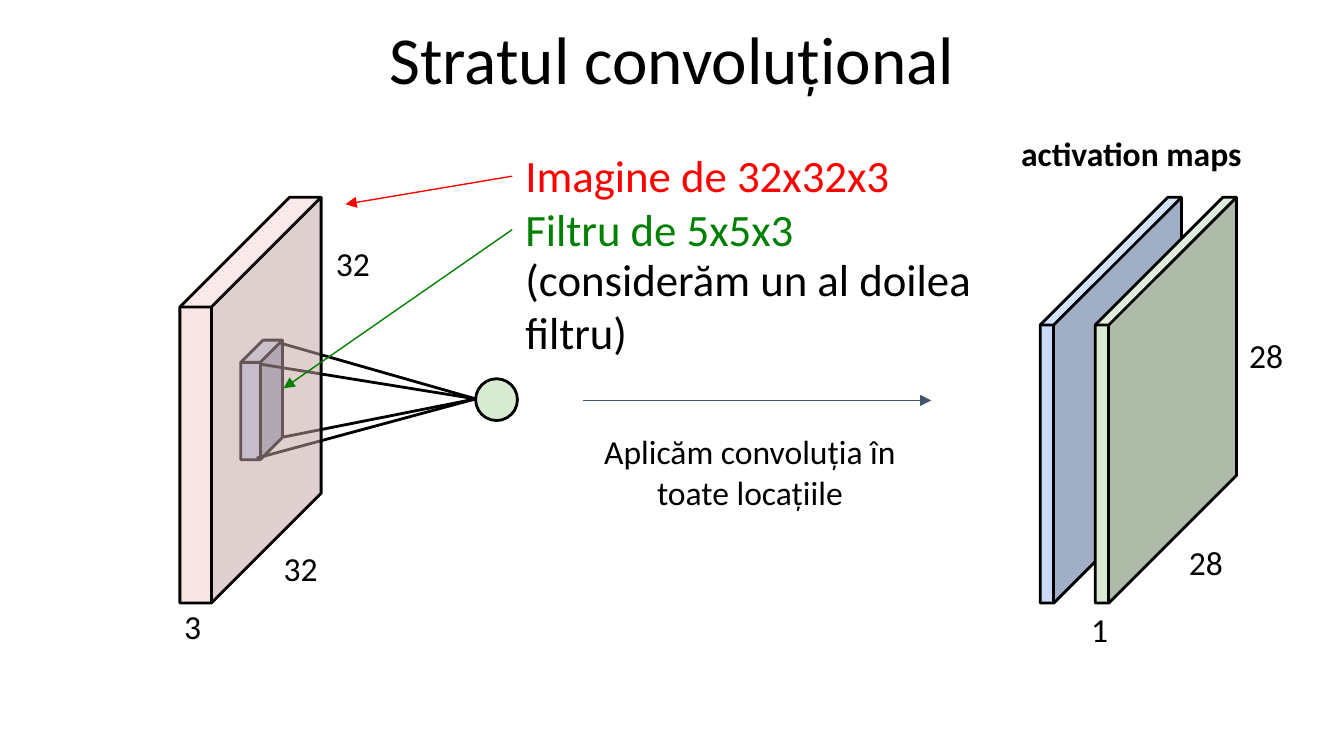
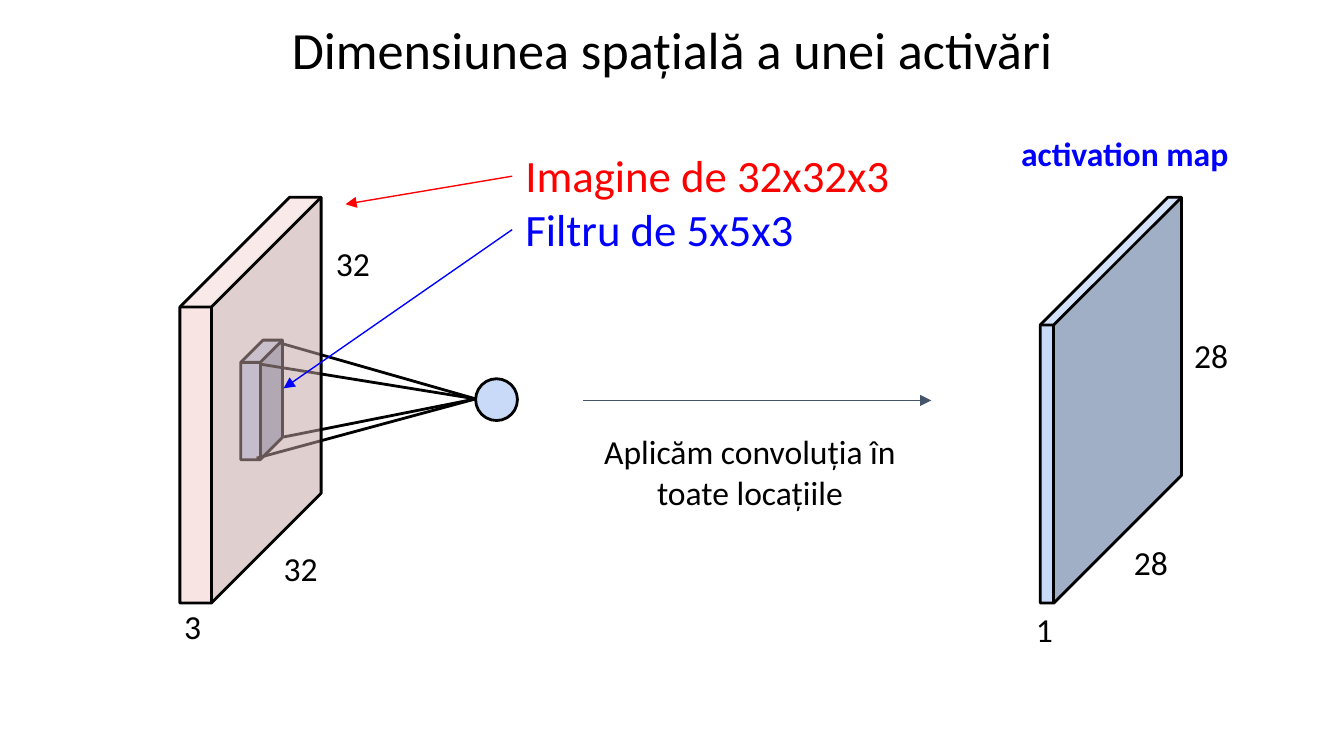
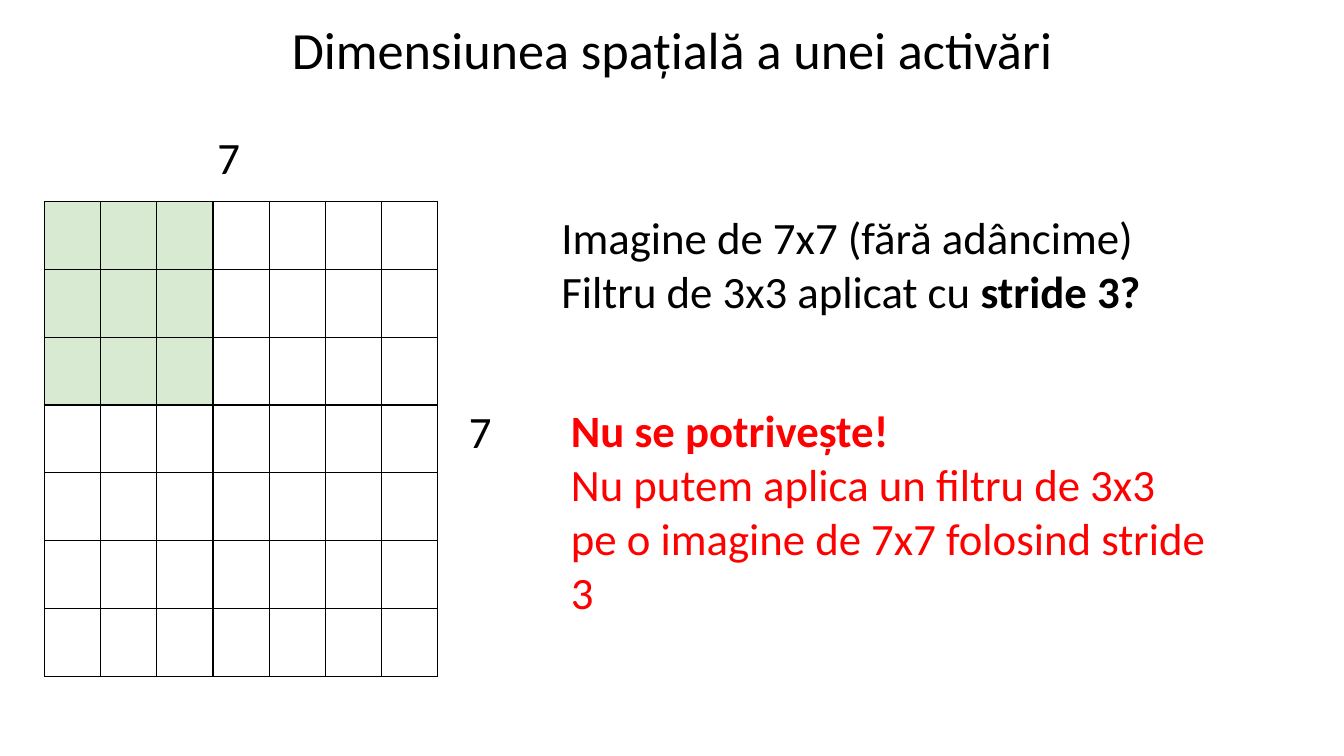
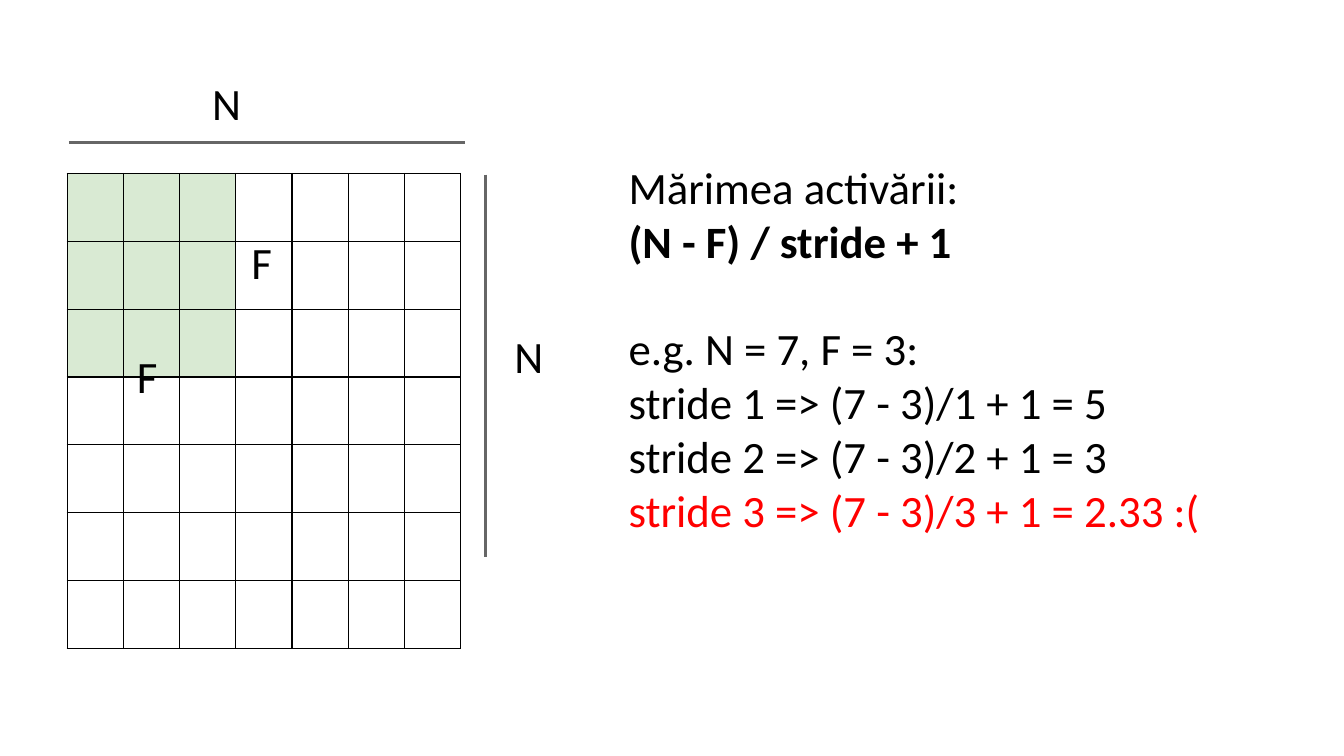
from dataclasses import dataclass

from lxml import etree
from pptx import Presentation
from pptx import util as u
from pptx.dml.color import RGBColor
from pptx.enum import shapes, text
from pptx.oxml import ns


@dataclass(frozen=True)
class Theme:
    font: str = "Calibri"
    black: str = "000000"
    red: str = "FF0000"
    green: str = "008000"
    blue: str = "0000FF"
    slate: str = "44546A"
    gray: str = "666666"
    white: str = "FFFFFF"
    rose: str = "F4CCCC"
    sky: str = "C9DAF8"
    mint: str = "D9EAD3"
    small: int = 18
    body: int = 24
    head: int = 28
    large: int = 36
    thin: float = 0.75
    thick: float = 1.5
    inset: float = 0.25


T = Theme()
CENTER = text.PP_ALIGN.CENTER


def write(shape, lines, size, align=None, gaps=()):
    """Fill a shape with lines, each a list of (words, ink, bold) runs.

    gaps holds the numbers of the lines that have one line of space before.
    """
    frame = shape.text_frame
    edge = u.Cm(T.inset)
    look = {"word_wrap": True, "auto_size": text.MSO_AUTO_SIZE.NONE,
            "vertical_anchor": text.MSO_ANCHOR.TOP,
            "margin_left": edge, "margin_right": edge,
            "margin_top": edge, "margin_bottom": edge}
    for key, value in look.items():
        setattr(frame, key, value)
    for n, line in enumerate(lines):
        para = frame.add_paragraph() if n else frame.paragraphs[0]
        para.alignment = align
        if n in gaps:
            para.space_before = u.Pt(1.2 * size)
        for words, ink, bold in line:
            run = para.add_run()
            run.text = words
            face = {"name": T.font, "size": u.Pt(size), "bold": bold}
            for key, value in face.items():
                setattr(run.font, key, value)
            run.font.color.rgb = RGBColor.from_string(ink)


def link(slide, start, end, ink, width, arrow=False):
    line = slide.shapes.add_connector(
        shapes.MSO_CONNECTOR.STRAIGHT, *map(u.Cm, start + end))
    line.line.color.rgb = RGBColor.from_string(ink)
    line.line.width = u.Pt(width)
    if arrow:
        etree.SubElement(line.line._get_or_add_ln(), ns.qn("a:tailEnd"), type="triangle")
    etree.SubElement(line._element.spPr, ns.qn("a:effectLst"))


deck = Presentation()
deck.slide_width, deck.slide_height = u.Cm(25.4), u.Cm(14.29)

# Slides and titles
space = "Dimensiunea spațială a unei activări"
heads = [("Stratul convoluțional", T.large), (space, T.head), (space, T.head), (None, 0)]
slides = []
for words, size in heads:
    slide = deck.slides.add_slide(deck.slide_layouts[5 if words else 6])
    slides.append(slide)
    if words:
        title = slide.shapes.title
        title.left, title.top, title.width, title.height = map(u.Cm, (0, 0.08, 25.4, 1.83))
        write(title, [[(words, T.black, False)]], size, CENTER)

# Slides 1 and 2: from image and filter to activation maps
cube, oval = shapes.MSO_SHAPE.CUBE, shapes.MSO_SHAPE.OVAL
rays = [(4.85, 8.66), (4.9, 6.88), (5.28, 6.48), (5.36, 8.26)]
tip = (8.99, 7.54)
step = 1.04  # distance between two activation maps
scenes = [
    (slides[0], [T.sky, T.mint], T.green, "activation maps", T.black),
    (slides[1], [T.sky], T.blue, "activation map", T.blue),
]
for slide, maps, ink, name, shade in scenes:
    solids = [(cube, (4.55, 6.43, 0.79, 2.26), T.sky, 0.534, None),
              (cube, (3.4, 3.73, 2.67, 7.67), T.rose, 0.777, 52)]
    solids += [(cube, (19.66 + step * n, 3.73, 2.67, 7.67), fill, 0.904, None)
               for n, fill in enumerate(maps)]
    solids.append((oval, (8.99, 7.16, 0.79, 0.79), maps[-1], None, None))
    for n, (kind, box, fill, depth, alpha) in enumerate(solids):
        solid = slide.shapes.add_shape(kind, *map(u.Cm, box))
        solid.shadow.inherit = False
        solid.fill.solid()
        solid.fill.fore_color.rgb = RGBColor.from_string(fill)
        solid.line.color.rgb = RGBColor.from_string(T.black)
        solid.line.width = u.Pt(T.thick)
        if depth:
            solid.adjustments[0] = depth
        if alpha:
            tint = solid._element.spPr.find(".//" + ns.qn("a:srgbClr"))
            etree.SubElement(tint, ns.qn("a:alpha"), val=str(alpha * 1000))
        if n == 0:
            for ray in rays:
                link(slide, ray, tip, T.black, T.thick)

    link(slide, (11.02, 7.57), (17.6, 7.57), T.slate, T.thin, True)
    link(slide, (9.68, 3.33), (6.53, 3.86), T.red, T.thin, True)
    link(slide, (9.68, 4.34), (5.36, 7.34), ink, T.thin, True)

    shift = step * (len(maps) - 1)
    marks = [("32", 5.11, 10.11), ("32", 6.1, 4.34), ("3", 3.23, 11.2),
             ("1", 19.33 + shift, 11.26), ("28", 21.18 + shift, 10),
             ("28", 22.32 + shift, 6.09)]
    for words, x, y in marks:
        box = slide.shapes.add_textbox(*map(u.Cm, (x, y, 1.37, 0.86)))
        write(box, [[(words, T.black, False)]], T.small)

    notes = [
        ((11, 7.9, 6.35, 1.32), T.small, CENTER,
         [[("Aplicăm convoluția în toate locațiile", T.black, False)]]),
        ((19.05, 2.26, 5.66, 1.5), T.small, None, [[(name, shade, True)]]),
        ((9.68, 2.54, 8.41, 1.52), T.body, None,
         [[("Imagine de 32x32x3", T.red, False)], [("Filtru de 5x5x3", ink, False)]]),
    ]
    if len(maps) > 1:
        notes.append(((9.68, 4.5, 9.4, 2.62), T.body, None,
                      [[("(considerăm un al doilea filtru)", T.black, False)]]))
    for place, size, align, lines in notes:
        write(slide.shapes.add_textbox(*map(u.Cm, place)), lines, size, align)

# Slides 3 and 4: a grid with the filter in its corner
side, reach = 7, 3
for slide, x, y in [(slides[2], 0.84, 3.81), (slides[3], 1.27, 3.28)]:
    grid = slide.shapes.add_table(
        side, side, *map(u.Cm, (x, y, 7.44, 8.98))).table
    grid.first_row = grid.horz_banding = False
    for r in range(side):
        for c in range(side):
            cell = grid.cell(r, c)
            props = cell._tc.get_or_add_tcPr()
            for edge in ("lnL", "lnR", "lnT", "lnB"):
                rule = etree.SubElement(props, ns.qn("a:" + edge), w=str(u.Pt(T.thin)))
                paint = etree.SubElement(rule, ns.qn("a:solidFill"))
                etree.SubElement(paint, ns.qn("a:srgbClr"), val=T.black)
            if r < reach:
                cell.fill.solid()
                cell.fill.fore_color.rgb = RGBColor.from_string(
                    T.mint if c < reach else T.white)
            else:
                cell.fill.background()

link(slides[3], (1.3, 2.69), (8.79, 2.69), T.gray, T.thick)
link(slides[3], (9.17, 3.3), (9.17, 10.52), T.gray, T.thick)

sizes = [(2, "7", 3.86, 2.21), (2, "7", 8.61, 7.39),
         (3, "N", 3.76, 1.19), (3, "N", 9.47, 5.97),
         (3, "F", 2.34, 6.35), (3, "F", 4.5, 4.19)]
for n, words, x, y in sizes:
    box = slides[n].shapes.add_textbox(*map(u.Cm, (x, y, 1.6, 1.09)))
    write(box, [[(words, T.black, False)]], T.body)

texts = [
    (2, (10.36, 3.71, 13.36, 8.89), (),
     [[("Imagine de 7x7 (fără adâncime)", T.black, False)],
      [("Filtru de 3x3 aplicat cu ", T.black, False), ("stride 3?", T.black, True)]]),
    (2, (10.54, 7.37, 12.55, 4.7), (),
     [[("Nu se potrivește!", T.red, True)],
      [("Nu putem aplica un filtru de 3x3 pe o imagine de 7x7 folosind stride 3",
        T.red, False)]]),
    (3, (11.63, 2.77, 12.6, 8.61), (2,),
     [[("Mărimea activării:", T.black, False)],
      [("(N - F) / stride + 1", T.black, True)],
      [("e.g. N = 7, F = 3:", T.black, False)],
      [("stride 1 => (7 - 3)/1 + 1 = 5", T.black, False)],
      [("stride 2 => (7 - 3)/2 + 1 = 3", T.black, False)],
      [("stride 3 => (7 - 3)/3 + 1 = 2.33 :(", T.red, False)]]),
]
for n, place, gaps, lines in texts:
    write(slides[n].shapes.add_textbox(*map(u.Cm, place)), lines, T.body, gaps=gaps)

deck.save("out.pptx")
